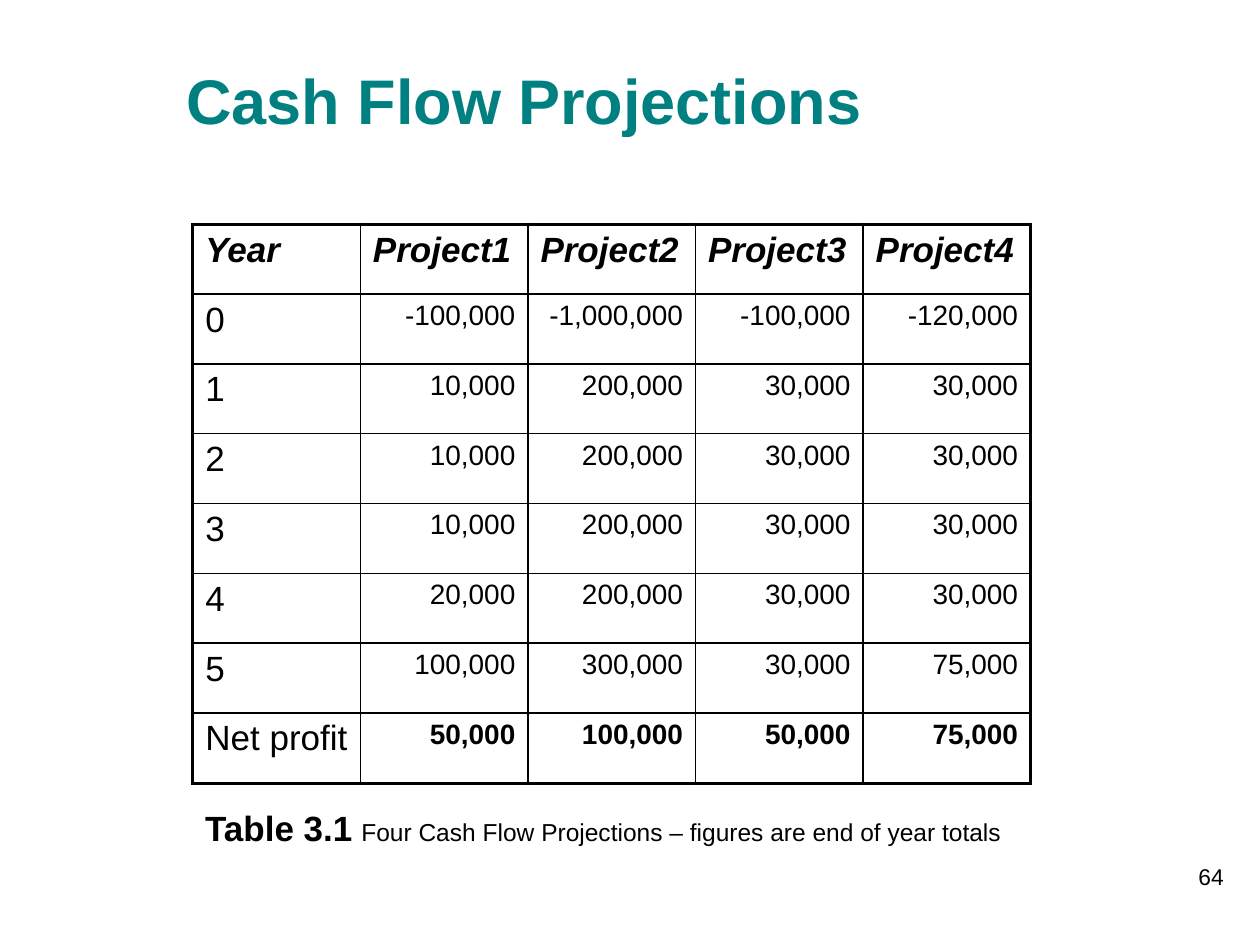
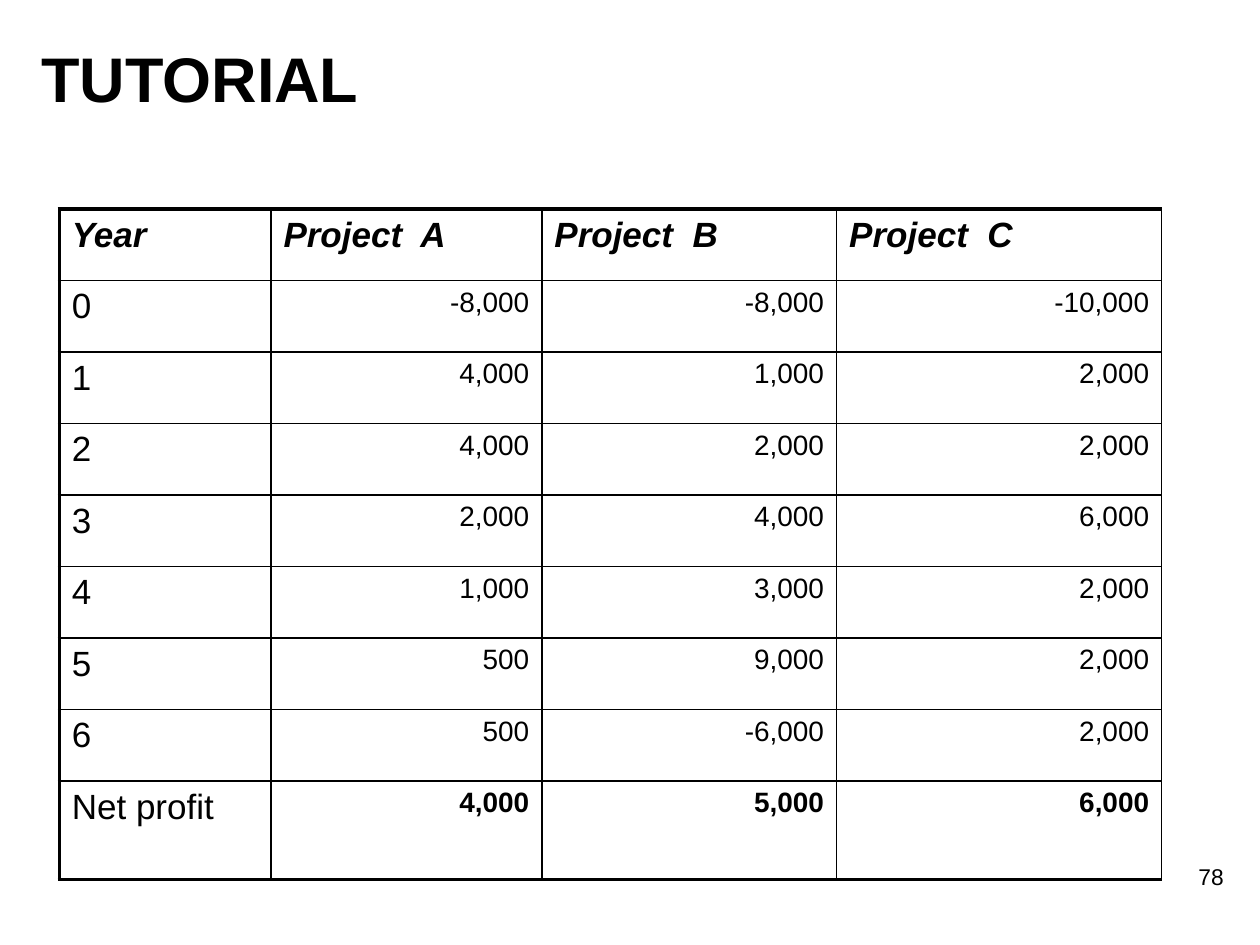
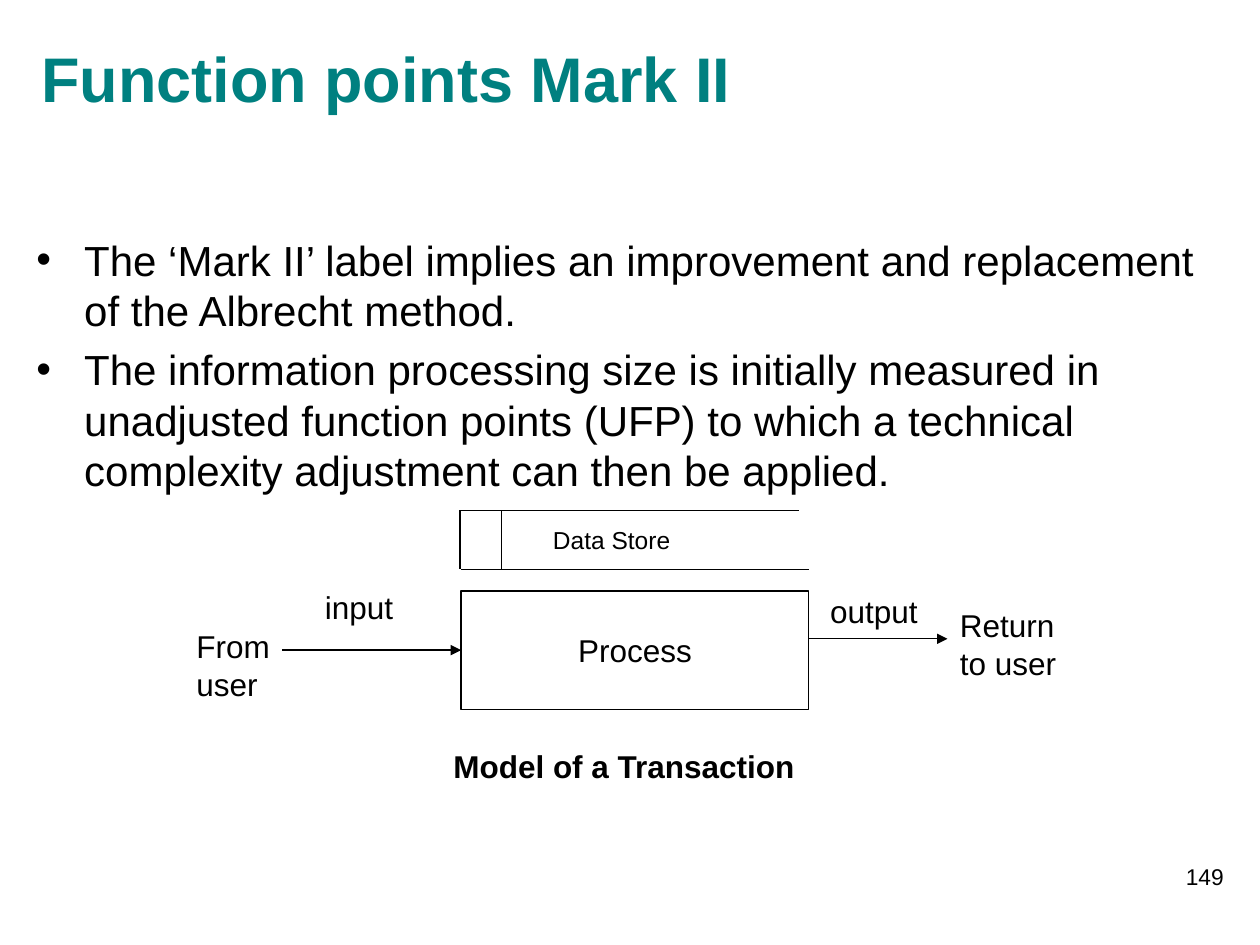
from lxml.etree import SubElement
from pptx import Presentation
from pptx.dml.color import RGBColor
from pptx.enum.shapes import MSO_CONNECTOR, MSO_SHAPE
from pptx.enum.text import MSO_ANCHOR, PP_ALIGN
from pptx.oxml.ns import qn
from pptx.util import Inches, Pt

FONT = "Arial"
BLACK, TEAL = "000000", "008080"
THIN, THICK = 1, 2.25
TITLE_BOX = (0.23, 0.15, 8.03, 0.93)
NUMBER_BOX = (7.73, 6.8, 2.08, 0.5)

FOUR_PROJECTS = [
    ("Year", "Project1", "Project2", "Project3", "Project4"),
    ("0", "-100,000", "-1,000,000", "-100,000", "-120,000"),
    ("1", "10,000", "200,000", "30,000", "30,000"),
    ("2", "10,000", "200,000", "30,000", "30,000"),
    ("3", "10,000", "200,000", "30,000", "30,000"),
    ("4", "20,000", "200,000", "30,000", "30,000"),
    ("5", "100,000", "300,000", "30,000", "75,000"),
    ("Net profit", "50,000", "100,000", "50,000", "75,000"),
]
TUTORIAL_PROJECTS = [
    ("Year", "Project  A", "Project  B", "Project  C"),
    ("0", "-8,000", "-8,000", "-10,000"),
    ("1", "4,000", "1,000", "2,000"),
    ("2", "4,000", "2,000", "2,000"),
    ("3", "2,000", "4,000", "6,000"),
    ("4", "1,000", "3,000", "2,000"),
    ("5", "500", "9,000", "2,000"),
    ("6", "500", "-6,000", "2,000"),
    ("Net profit", "4,000", "5,000", "6,000"),
]
MARK_II_POINTS = [
    "The ‘Mark II’ label implies an improvement and replacement of the Albrecht method.",
    "The information processing size is initially measured in unadjusted function points "
    "(UFP) to which a technical complexity adjustment can then be applied.",
]
PROCESS_BOX = (3.66, 4.69, 2.76, 0.94)
DATA_STORE_LINES = [
    ((3.65, 4.05), (3.65, 4.52)),
    ((3.98, 4.05), (3.98, 4.52)),
    ((3.66, 4.05), (6.34, 4.05)),
    ((3.66, 4.52), (6.42, 4.52)),
]
DIAGRAM_LABELS = [
    ("Data Store", (4.29, 4.12, 1.5, 0.33), {"size": 14}),
    ("Model of a Transaction", (3.5, 5.88, 3.62, 0.4), {"bold": True}),
    ("input", (2.48, 4.62, 1.18, 0.4), {}),
    ("output", (6.49, 4.65, 1.18, 0.4), {}),
    ("From user", (1.46, 4.93, 1.02, 0.7), {}),
    ("Return to user", (7.52, 4.76, 1.02, 0.7), {}),
]


def color(value):
    return RGBColor.from_string(value)


def inches(values):
    return [Inches(value) for value in values]


def write(paragraph, text, size=18, fill=BLACK, bold=False, italic=False,
          align=PP_ALIGN.LEFT):
    """Append a formatted run to the paragraph."""
    paragraph.alignment = align
    run = paragraph.add_run()
    run.text = text
    font = run.font
    font.name, font.size = FONT, Pt(size)
    font.bold, font.italic = bold, italic
    font.color.rgb = color(fill)


def add_text(slide, text, box, anchor=MSO_ANCHOR.TOP, **text_format):
    """Add a wrapping text box and return its first paragraph."""
    frame = slide.shapes.add_textbox(*inches(box)).text_frame
    frame.word_wrap = True
    frame.vertical_anchor = anchor
    write(frame.paragraphs[0], text, **text_format)
    return frame.paragraphs[0]


def add_slide(presentation, title, number, fill=TEAL, box=TITLE_BOX,
              anchor=MSO_ANCHOR.MIDDLE):
    slide = presentation.slides.add_slide(presentation.slide_layouts[6])
    add_text(slide, title, box, anchor=anchor, size=36, fill=fill, bold=True)
    add_text(slide, number, NUMBER_BOX, size=13, align=PP_ALIGN.RIGHT)
    return slide


def set_borders(cell, widths):
    """Draw black cell borders; widths are left, right, top, bottom in points."""
    properties = cell._tc.get_or_add_tcPr()
    for side, width in zip("LRTB", widths):
        line = SubElement(properties, qn(f"a:ln{side}"), w=str(Pt(width)))
        SubElement(SubElement(line, qn("a:solidFill")), qn("a:srgbClr"), val=BLACK)


def add_cash_table(slide, rows, position, column_widths, height, last_height,
                   right_edge=THICK):
    row_total, column_total = len(rows), len(column_widths)
    frame = slide.shapes.add_table(
        row_total, column_total, *inches(position),
        Inches(sum(column_widths)), Inches(height))
    table = frame.table
    table.first_row = table.horz_banding = False
    for column, width in zip(table.columns, column_widths):
        column.width = Inches(width)
    for row in table.rows:
        row.height = Inches((height - last_height) / (row_total - 1))
    table.rows[row_total - 1].height = Inches(last_height)

    for r, values in enumerate(rows):
        header, total = r == 0, r == row_total - 1
        for c, value in enumerate(values):
            cell = table.cell(r, c)
            figure = c > 0 and not header
            set_borders(cell, (
                THICK if c == 0 else THIN,
                right_edge if c == column_total - 1 else THIN,
                THICK if header else THIN,
                THICK if total else THIN))
            cell.fill.background()
            write(cell.text_frame.paragraphs[0], value,
                  size=16 if figure else 20,
                  bold=header or (total and figure), italic=header,
                  align=PP_ALIGN.RIGHT if figure else PP_ALIGN.LEFT)


def add_line(slide, start, end, arrow=False):
    line = slide.shapes.add_connector(MSO_CONNECTOR.STRAIGHT, *inches(start + end))
    line.line.color.rgb = color(BLACK)
    line.line.width = Pt(0.75)
    if arrow:
        SubElement(line.line._get_or_add_ln(), qn("a:tailEnd"), type="triangle")
    SubElement(line._element.spPr, qn("a:effectLst"))
    return line


def add_bullets(slide, points, box):
    frame = slide.shapes.add_textbox(*inches(box)).text_frame
    frame.word_wrap = True
    for index, point in enumerate(points):
        paragraph = frame.add_paragraph() if index else frame.paragraphs[0]
        properties = paragraph._p.get_or_add_pPr()
        properties.set("marL", str(Inches(0.38)))
        properties.set("indent", str(Inches(-0.38)))
        SubElement(properties, qn("a:buFont"), typeface=FONT)
        SubElement(properties, qn("a:buChar"), char="•")
        if index:
            paragraph.space_before = Pt(5)
        write(paragraph, point, size=24)


def add_process(slide):
    process = slide.shapes.add_shape(MSO_SHAPE.RECTANGLE, *inches(PROCESS_BOX))
    process.shadow.inherit = False
    process.fill.background()
    process.line.color.rgb = color(BLACK)
    process.line.width = Pt(0.75)
    frame = process.text_frame
    frame.word_wrap = False
    frame.vertical_anchor = MSO_ANCHOR.MIDDLE
    write(frame.paragraphs[0], "Process", align=PP_ALIGN.CENTER)
    return process


def build_cash_flow(presentation):
    slide = add_slide(presentation, "Cash Flow Projections", "64",
                      box=(1.38, 0.44, 7.09, 0.7), anchor=MSO_ANCHOR.TOP)
    add_cash_table(slide, FOUR_PROJECTS, (1.53, 1.78), [1.33] * 5,
                   height=4.44, last_height=0.56)
    caption = add_text(slide, "Table 3.1", (1.53, 6.35, 6.93, 0.43), size=20, bold=True)
    write(caption, " ")
    write(caption, "Four Cash Flow Projections – figures are end of year totals", size=14)


def build_tutorial(presentation):
    slide = add_slide(presentation, "TUTORIAL", "78", fill=BLACK)
    add_cash_table(slide, TUTORIAL_PROJECTS, (0.47, 1.66), [1.68, 2.15, 2.34, 2.58],
                   height=5.32, last_height=0.78, right_edge=THIN)


def build_function_points(presentation):
    slide = add_slide(presentation, "Function points Mark II", "149")
    add_bullets(slide, MARK_II_POINTS, (0.19, 1.81, 9.61, 4.82))
    process = add_process(slide)
    for start, end in DATA_STORE_LINES:
        add_line(slide, start, end)
    input_arrow = add_line(slide, (2.24, 5.16), (3.66, 5.16), arrow=True)
    input_arrow.end_connect(process, 1)
    add_line(slide, (6.42, 5.07), (7.52, 5.07), arrow=True)
    for text, box, text_format in DIAGRAM_LABELS:
        add_text(slide, text, box, **text_format)


def main():
    presentation = Presentation()
    presentation.slide_width, presentation.slide_height = Inches(10), Inches(7.5)
    build_cash_flow(presentation)
    build_tutorial(presentation)
    build_function_points(presentation)
    presentation.save("out.pptx")


if __name__ == "__main__":
    main()
